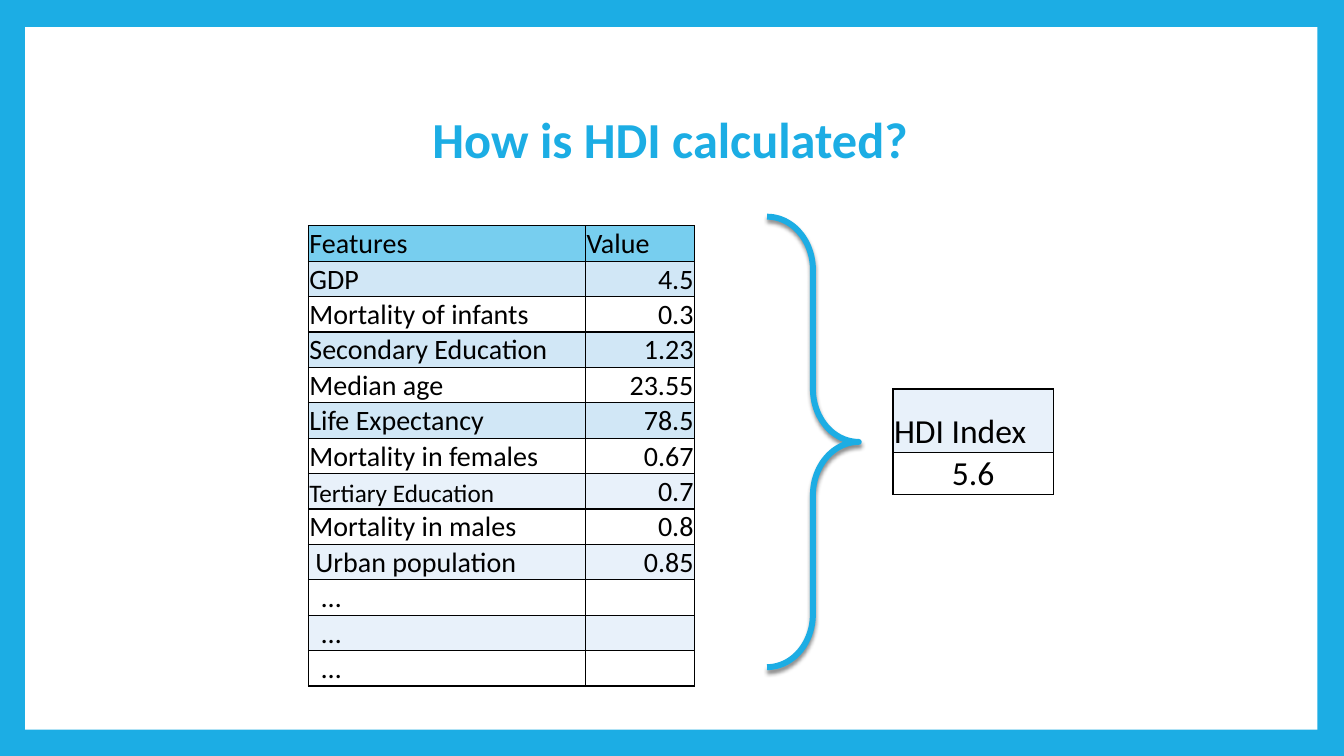
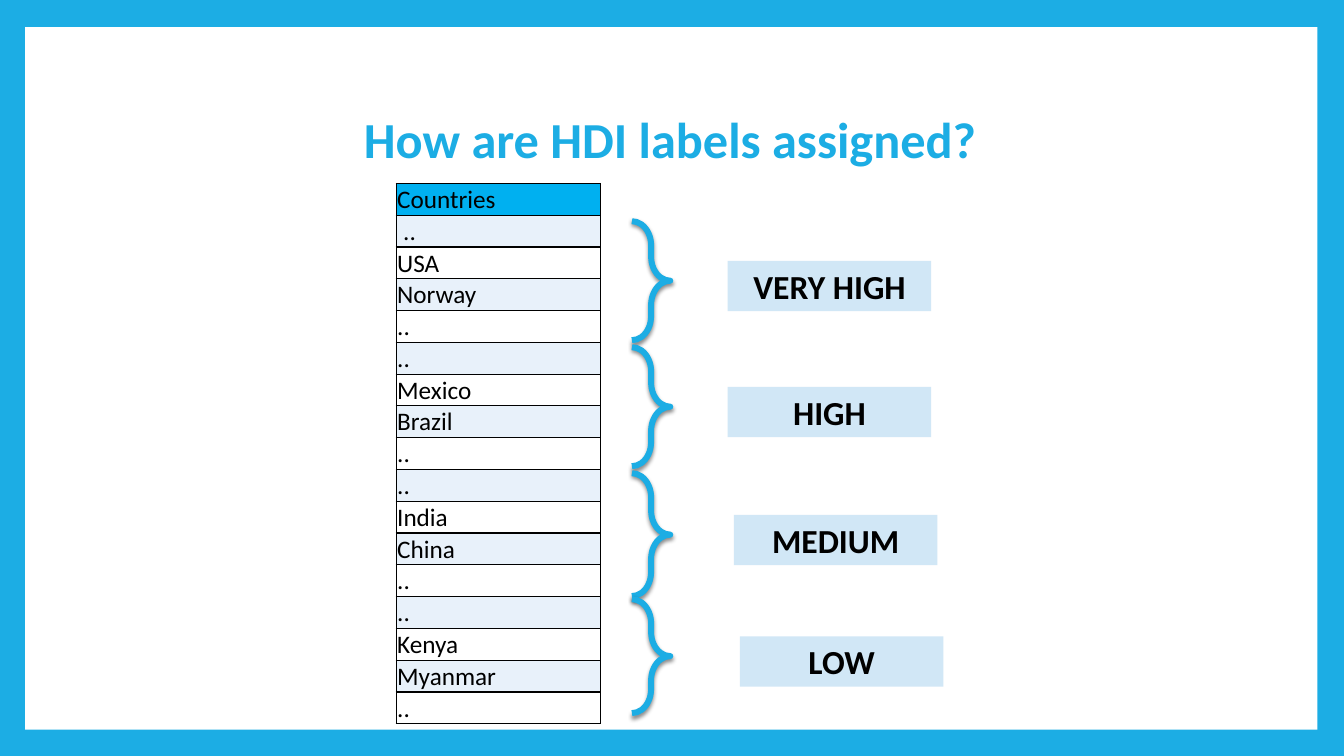
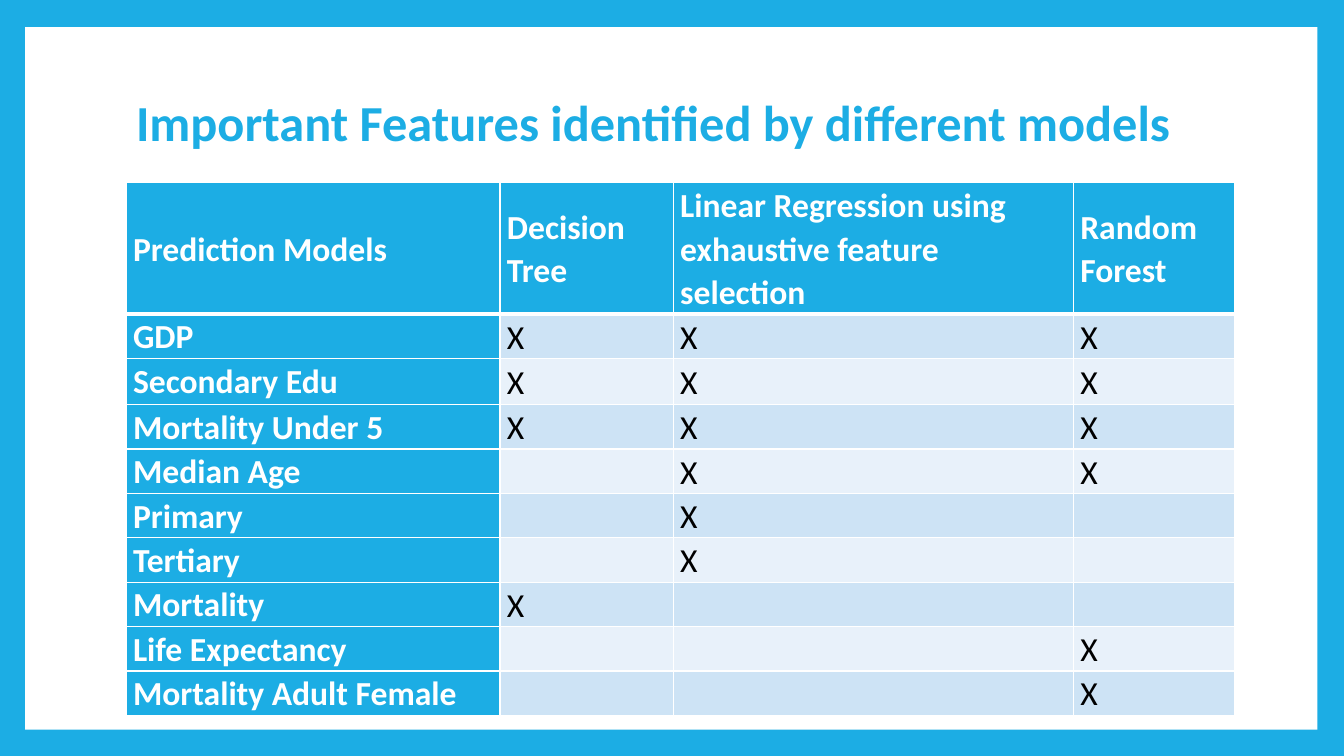
from lxml import etree
from pptx import Presentation
from pptx import util as u
from pptx.dml.color import RGBColor
from pptx.enum import shapes, text
from pptx.oxml import ns

BLUE = RGBColor(0x1C, 0xAD, 0xE4)
SKY = RGBColor(0x77, 0xCE, 0xEF)
BRIGHT = RGBColor(0x00, 0xB0, 0xF0)
MIST = RGBColor(0xD1, 0xE7, 0xF6)
BAND = RGBColor(0xCD, 0xE3, 0xF5)
PALE = RGBColor(0xE8, 0xF1, 0xFA)
WHITE = RGBColor(0xFF, 0xFF, 0xFF)
BLACK = RGBColor(0x00, 0x00, 0x00)

COLS, ROWS = 96, 54
LEFT, CENTER = text.PP_ALIGN.LEFT, text.PP_ALIGN.CENTER
RIGHT, JUSTIFY = text.PP_ALIGN.RIGHT, text.PP_ALIGN.JUSTIFY
TOP, MIDDLE, BOTTOM = (
    text.MSO_ANCHOR.TOP, text.MSO_ANCHOR.MIDDLE, text.MSO_ANCHOR.BOTTOM)


def apply(obj, values):
    for name, value in values.items():
        setattr(obj, name, value)


def child(parent, tag, **attrs):
    return etree.SubElement(parent, ns.qn(tag), attrs)


class Deck:
    def __init__(self):
        self.prs = Presentation()
        apply(self.prs, {"slide_width": u.Pt(960), "slide_height": u.Pt(540)})
        self.unit_x = self.prs.slide_width / COLS
        self.unit_y = self.prs.slide_height / ROWS
        self.framed = False

    def x(self, cols):
        return u.Emu(round(cols * self.unit_x))

    def y(self, rows):
        return u.Emu(round(rows * self.unit_y))

    def box(self, x, y, w, h):
        return self.x(x), self.y(y), self.x(w), self.y(h)

    def slide(self, title, w=77.76, h=10.66, align=CENTER):
        self.s = self.prs.slides.add_slide(self.prs.slide_layouts[5])
        if not self.framed:
            self.frame()
        sp = self.s.shapes.title
        apply(sp, dict(zip(("left", "top", "width", "height"), self.box(9, 4.82, w, h))))
        apply(sp.text_frame, {"vertical_anchor": MIDDLE, "word_wrap": True})
        self.words(sp.text_frame, title, {"size": 36, "bold": True, "color": BLUE},
                   {"alignment": align, "line_spacing": 0.9})

    def frame(self):
        master = self.prs.slide_master
        master.background.fill.solid()
        master.background.fill.fore_color.rgb = BLUE
        sp = self.rect(1.8, 1.94, 92.3, 50.18, WHITE)
        master.shapes.element.insert(2, sp.element)
        self.framed = True

    def words(self, tf, content, font, para):
        p = tf.paragraphs[0]
        apply(p, para)
        if content:
            r = p.add_run()
            r.text = content
            apply(r.font, {"name": "Calibri", "size": u.Pt(font["size"]),
                           "bold": font.get("bold", False)})
            r.font.color.rgb = font.get("color", BLACK)

    def rect(self, x, y, w, h, fill):
        sp = self.s.shapes.add_shape(shapes.MSO_SHAPE.RECTANGLE, *self.box(x, y, w, h))
        sp.fill.solid()
        sp.fill.fore_color.rgb = fill
        sp.line.fill.background()
        sp.shadow.inherit = False
        return sp

    def label(self, x, y, name):
        tf = self.rect(x, y, 14.54, 3.6, MIST).text_frame
        apply(tf, {"word_wrap": True, "vertical_anchor": MIDDLE})
        self.words(tf, name, {"size": 24, "bold": True}, {"alignment": CENTER})

    def brace(self, x, y, w, h, curve):
        sp = self.s.shapes.add_shape(shapes.MSO_SHAPE.RIGHT_BRACE, *self.box(x, y, w, h))
        sp.adjustments[0], sp.adjustments[1] = curve, 0.5
        sp.fill.background()
        sp.line.color.rgb = BLUE
        sp.line.width = u.Pt(4.25)
        sp.shadow.inherit = False
        effects = sp.element.spPr.find(ns.qn("a:effectLst"))
        shadow = child(effects, "a:outerShdw", blurRad=str(u.Pt(3)), dist=str(u.Pt(2)),
                       dir="5400000", rotWithShape="0")
        child(child(shadow, "a:srgbClr", val=str(BLACK)), "a:alpha", val="45000")

    def borders(self, cell, color, bottom):
        tc_pr = cell._tc.get_or_add_tcPr()
        for i, side in enumerate("LRTB"):
            width = bottom if side == "B" else 1
            ln = child(tc_pr, "a:ln" + side, w=str(u.Pt(width)))
            child(child(ln, "a:solidFill"), "a:srgbClr", val=str(color))
            tc_pr.insert(i, ln)

    def table(self, x, y, widths, heights, data, look, edge=BLACK):
        tbl = self.s.shapes.add_table(
            len(heights), len(widths), *self.box(x, y, sum(widths), sum(heights))).table
        apply(tbl, {"first_row": False, "horz_banding": False})
        for column, w in zip(tbl.columns, widths):
            column.width = self.x(w)
        for row, h in zip(tbl.rows, heights):
            row.height = self.y(h)
        for i, line in enumerate(data):
            for j, content in enumerate(line):
                style = look(i, j)
                cell = tbl.cell(i, j)
                apply(cell, style["cell"])
                cell.fill.solid()
                cell.fill.fore_color.rgb = style["fill"]
                self.borders(cell, edge, style.get("bottom", 1))
                self.words(cell.text_frame, content, style["font"], style["para"])


def sheet_look(fill, size, align=LEFT, anchor=BOTTOM, indent=0):
    return {"fill": fill, "font": {"size": size}, "para": {"alignment": align},
            "cell": {"vertical_anchor": anchor, "margin_left": u.Inches(0.01 + indent),
                     "margin_right": u.Inches(0.01), "margin_top": u.Inches(0.01),
                     "margin_bottom": 0}}


def feature_look(i, j):
    fill = SKY if i == 0 else WHITE if i % 2 == 0 else MIST if i < 7 else PALE
    indent = 0 if j else {9: 0.06, 10: 0.12, 11: 0.12, 12: 0.12}.get(i, 0)
    return sheet_look(fill, 18 if (i, j) == (7, 0) else 20,
                      RIGHT if i and j else LEFT, indent=indent)


def index_look(i, j):
    return sheet_look(WHITE, 24, CENTER, MIDDLE) if i else sheet_look(PALE, 24)


def country_look(i, j):
    fill = BRIGHT if i == 0 else PALE if i % 2 else WHITE
    return sheet_look(fill, 18, indent=0.06 if i == 1 else 0)


def model_look(i, j):
    head = i == 0 or j == 0
    return {"fill": BLUE if head else BAND if i % 2 else PALE,
            "font": {"size": 24, "bold": head, "color": WHITE if head else BLACK},
            "para": {"alignment": JUSTIFY if i else LEFT, "line_spacing": 1.07},
            "cell": {"vertical_anchor": TOP if i and j == 0 else MIDDLE,
                     "margin_left": u.Inches(0.07), "margin_right": u.Inches(0.07),
                     "margin_top": 0, "margin_bottom": 0},
            "bottom": 1 if i else 3}


FEATURES = [
    ("Features", "Value"), ("GDP", "4.5"), ("Mortality of infants", "0.3"),
    ("Secondary Education", "1.23"), ("Median age", "23.55"),
    ("Life Expectancy", "78.5"), ("Mortality in females", "0.67"),
    ("Tertiary Education", "0.7"), ("Mortality in males", "0.8"),
    ("Urban population", "0.85"), ("…", ""), ("…", ""), ("…", "")]

GROUPS = [
    ("VERY HIGH", ("USA", "Norway"), 51.98, 8.5),
    ("HIGH", ("Mexico", "Brazil"), 51.98, 8.5),
    ("MEDIUM", ("India", "China"), 52.42, 8.78),
    ("LOW", ("Kenya", "Myanmar"), 52.85, 8.14)]

MODELS = ["Prediction Models", "Decision Tree",
          "Linear Regression using exhaustive feature selection", "Random Forest"]
CHOICES = [
    ("GDP", (1, 2, 3)), ("Secondary Edu", (1, 2, 3)), ("Mortality Under 5", (1, 2, 3)),
    ("Median Age", (2, 3)), ("Primary", (2,)), ("Tertiary", (2,)), ("Mortality", (1,)),
    ("Life Expectancy", (3,)), ("Mortality Adult Female", (3,))]


def main():
    deck = Deck()

    deck.slide("How is HDI calculated?")
    deck.table(22.03, 16.13, [19.8, 7.78], [2.53] * len(FEATURES), FEATURES, feature_look)
    deck.brace(54.79, 15.48, 6.55, 32.18, 0.58)
    deck.table(63.79, 27.79, [11.45], [4.54, 3], [["HDI Index"], ["5.6"]], index_look)

    deck.slide("How are HDI labels assigned?")
    countries = [["Countries"]]
    for _, names, _, _ in GROUPS:
        countries += [[name] for name in ("..", *names, "..")]
    deck.table(28.3, 13.1, [14.62], [2.27] * len(countries), countries, country_look)
    for i, (name, _, x, h) in enumerate(GROUPS):
        y = 15.8 + 9 * i
        deck.brace(45.14, y, 2.74, h, 0.63)
        deck.label(x, y + h / 2 - 1.42, name)

    deck.slide("Important Features identified by different models", 78.84, 8.21, LEFT)
    rows = [MODELS] + [[name] + ["X" if j in picks else "" for j in (1, 2, 3)]
                       for name, picks in CHOICES]
    deck.table(9, 13.03, [26.71, 12.38, 28.58, 11.52], [9.36, 3.17, 3.31] + [3.17] * 7,
               rows, model_look, WHITE)

    deck.prs.save("out.pptx")


if __name__ == "__main__":
    main()
